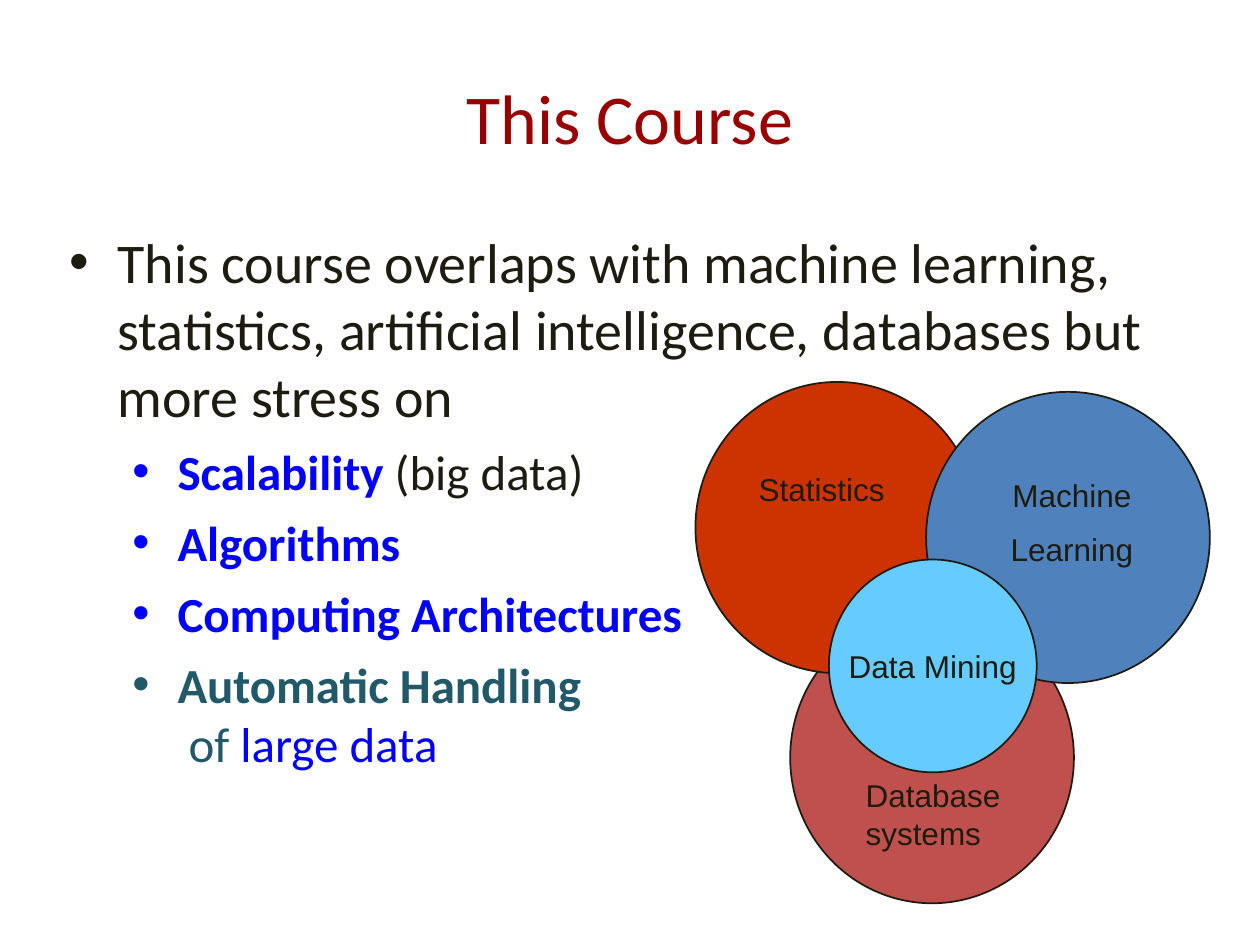
from lxml import etree
from pptx import Presentation
from pptx.dml.color import RGBColor
from pptx.enum.shapes import MSO_SHAPE
from pptx.enum.text import MSO_ANCHOR, PP_ALIGN
from pptx.oxml.ns import qn
from pptx.util import Cm, Pt

OVAL = MSO_SHAPE.OVAL
TOP, MIDDLE = MSO_ANCHOR.TOP, MSO_ANCHOR.MIDDLE
LEFT, CENTER = PP_ALIGN.LEFT, PP_ALIGN.CENTER
TITLE_ONLY = 5

INK, BLUE, TEAL, TITLE_RED = "1E1C11", "0000FF", "215968", "990000"

TITLE = "This Course"
BULLETS = [
    (0, [("This course overlaps with machine learning, statistics, "
          "artificial intelligence, databases but more stress on", INK, False)]),
    (1, [("Scalability ", BLUE, True), ("(big data)", INK, False)]),
    (1, [("Algorithms", BLUE, True)]),
    (1, [("Computing Architectures", BLUE, True)]),
    (1, [("Automatic Handling ", TEAL, True), "break",
         (" of ", TEAL, False), ("large data", BLUE, False)]),
]
LEVELS = [
    {"size": 32, "margin": 0.97, "hang": 0.97},
    {"size": 28, "margin": 2.18, "hang": 0.91},
]
LARGE, SMALL = (5.72, 5.87), (4.19, 4.29)
CIRCLES = [
    ((15.93, 12.34), LARGE, "C0504D", []),
    ((14.02, 7.7), LARGE, "CC3300", []),
    ((18.67, 7.9), LARGE, "4F81BD", []),
    ((16.71, 11.28), SMALL, "66CCFF", ["Data Mining"]),
]
LABELS = [
    ((18.75, 9.47), (5.72, 2.18), ["Machine", "Learning"], CENTER, 0),
    ((14.66, 9.35), (3.81, 1.02), ["Statistics"], CENTER, 0.25),
    ((17.2, 15.52), (4.01, 1.78), ["Database systems"], LEFT, 0.25),
]


def color(value):
    return RGBColor.from_string(value)


def apply(target, values):
    for name, value in values.items():
        setattr(target, name, value)


def place(corner, size):
    return [Cm(value) for value in (*corner, *size)]


def set_frame(frame, side, anchor=TOP, wrap=True):
    apply(frame, {
        "word_wrap": wrap, "vertical_anchor": anchor,
        "margin_left": Cm(side), "margin_right": Cm(side),
        "margin_top": Cm(0.13), "margin_bottom": Cm(0.13),
    })


def add_span(para, text, size, ink, face, bold=False):
    span = para.add_run()
    span.text = text
    apply(span.font, {"name": face, "size": Pt(size), "bold": bold})
    span.font.color.rgb = color(ink)


def next_para(frame, index, gap):
    para = frame.add_paragraph() if index else frame.paragraphs[0]
    para.space_before = Pt(gap if index else 0)
    return para


def add_bullet(para, margin, hang):
    properties = para._p.get_or_add_pPr()
    properties.set("marL", str(Cm(margin)))
    properties.set("indent", str(-Cm(hang)))
    etree.SubElement(properties, qn("a:buFont"), typeface="Arial")
    etree.SubElement(properties, qn("a:buChar"), char="•")


def write_label(frame, lines, alignment):
    for index, line in enumerate(lines):
        para = next_para(frame, index, 9)
        para.alignment = alignment
        add_span(para, line, 18, INK, "Arial")


def add_title(page):
    title = page.shapes.title
    corner_and_size = place((1.27, 0.25), (22.86, 4.19))
    apply(title, dict(zip(("left", "top", "width", "height"), corner_and_size)))
    set_frame(title.text_frame, 0, MIDDLE)
    para = title.text_frame.paragraphs[0]
    para.alignment = CENTER
    add_span(para, TITLE, 40, TITLE_RED, "Calibri")


def add_body(page):
    box = page.shapes.add_textbox(*place((1.27, 4.45), (22.86, 13.33)))
    set_frame(box.text_frame, 0.13)
    for index, (level, spans) in enumerate(BULLETS):
        style = LEVELS[level]
        para = next_para(box.text_frame, index, 7)
        para.level = level
        add_bullet(para, style["margin"], style["hang"])
        for span in spans:
            if span == "break":
                para.add_line_break()
            else:
                text, ink, bold = span
                add_span(para, text, style["size"], ink, "Calibri", bold)


def add_diagram(page):
    for corner, size, fill, lines in CIRCLES:
        circle = page.shapes.add_shape(OVAL, *place(corner, size))
        circle.shadow.inherit = False
        circle.fill.solid()
        circle.fill.fore_color.rgb = color(fill)
        circle.line.color.rgb = color(INK)
        circle.line.width = Pt(1)
        set_frame(circle.text_frame, 0.25, MIDDLE, wrap=False)
        write_label(circle.text_frame, lines, CENTER)
    for corner, size, lines, alignment, side in LABELS:
        box = page.shapes.add_textbox(*place(corner, size))
        set_frame(box.text_frame, side)
        write_label(box.text_frame, lines, alignment)


def main():
    deck = Presentation()
    apply(deck, {"slide_width": Cm(25.4), "slide_height": Cm(19.05)})
    page = deck.slides.add_slide(deck.slide_layouts[TITLE_ONLY])
    add_title(page)
    add_body(page)
    add_diagram(page)
    deck.save("out.pptx")


if __name__ == "__main__":
    main()
